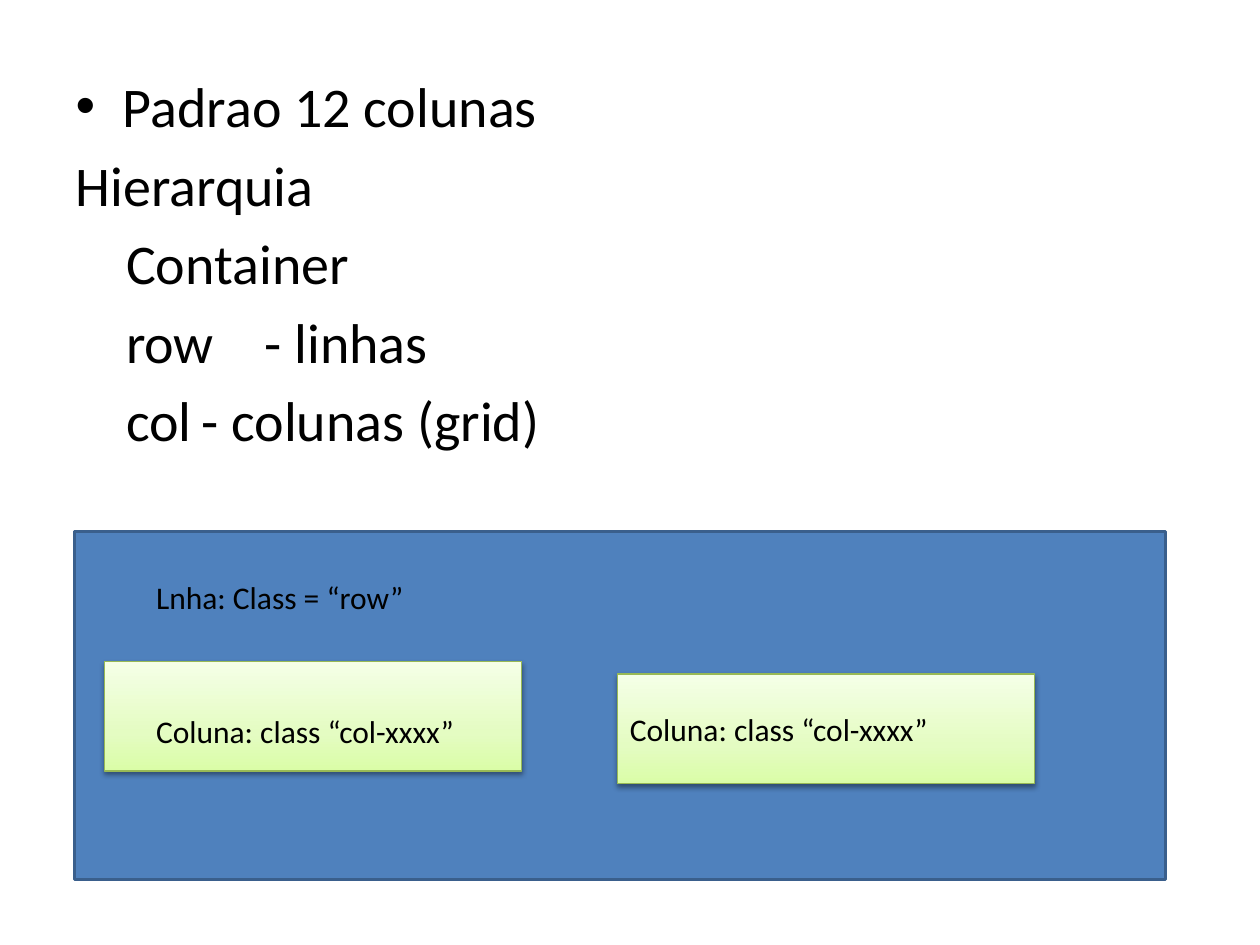
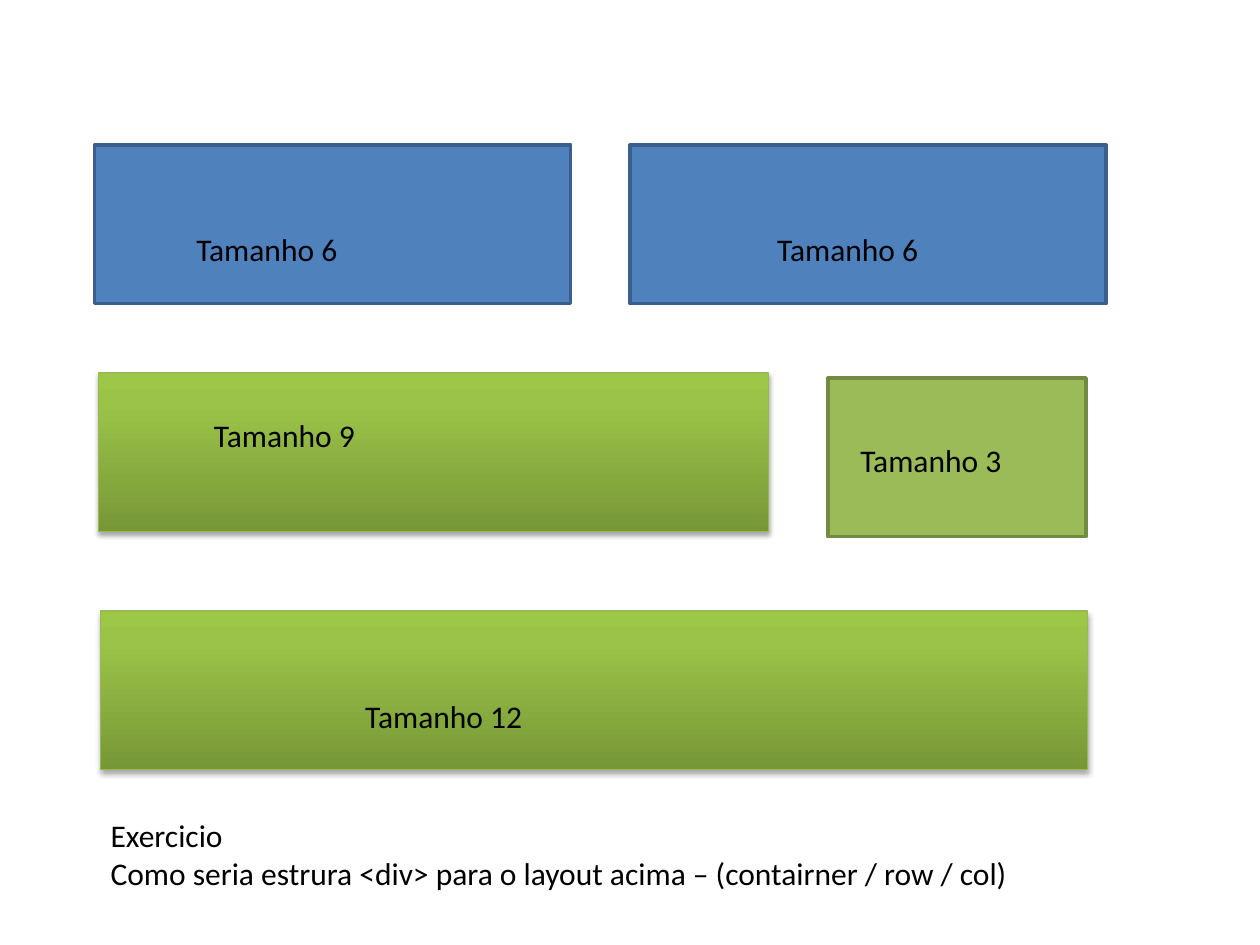
from lxml.etree import SubElement
from copy import deepcopy
from pptx import Presentation
from pptx.dml.color import RGBColor
from pptx.enum.shapes import MSO_SHAPE as SHAPE
from pptx.enum.text import MSO_ANCHOR as ANCHOR, MSO_AUTO_SIZE as AUTO, PP_ALIGN as ALIGN
from pptx.oxml.ns import qn
from pptx.util import Inches, Pt

FONT, BLACK = "Calibri", "000000"
BLUE = dict(fill="4F81BD", line="3A5F8C", weight=2)
GREEN = dict(fill="9BBB59", line="738A42", weight=2)
PALE = dict(fill=[(0, "DAFDA7"), (0.35, "E4FCC2"), (1, "F5FFE7")],
            line="98B955", weight=0.75, shadow=(38, 1.6))
LEAF = dict(fill=[(0, "779737"), (0.8, "9BC348"), (1, "9DC746")],
            line="98B955", weight=0.75, shadow=(35, 1.8))


def rgb(value):
    """Turn a hex string into a colour."""
    return RGBColor.from_string(value)


def write(p, text, size=18, color=BLACK, font=FONT, align=ALIGN.LEFT):
    """Add formatted text to a paragraph."""
    p.alignment = align
    r = p.add_run()
    r.text = text
    r.font.size, r.font.name = Pt(size), font
    r.font.color.rgb = rgb(color)


class Deck:
    """Hold the presentation, its style and the current slide."""

    def __init__(self):
        """Start an empty 4:3 presentation."""
        self.prs = Presentation()
        self.prs.slide_width, self.prs.slide_height = Inches(10), Inches(7.5)
        self.s = None

    def slide(self, layout):
        """Add a slide with the given layout."""
        self.s = self.prs.slides.add_slide(self.prs.slide_layouts[layout])

    def lines(self, tf, texts, **fmt):
        """Write one paragraph per text."""
        for i, text in enumerate(texts):
            write(tf.add_paragraph() if i else tf.paragraphs[0], text, **fmt)

    def body(self, x, y, w, h, items):
        """Fill the body placeholder with (text, bullet, indent, tab) items."""
        title = self.s.shapes.title
        title._element.getparent().remove(title._element)
        sp = self.s.placeholders[1]
        sp.left, sp.top, sp.width, sp.height = map(Inches, (x, y, w, h))
        self.lines(sp.text_frame, [item[0] for item in items], size=32)
        for p, (_, bullet, indent, tab) in zip(sp.text_frame.paragraphs, items):
            if bullet:
                continue
            ppr = p._p.get_or_add_pPr()
            ppr.set("marL", "0")
            ppr.set("indent", str(Inches(indent)))
            SubElement(ppr, qn("a:buNone"))
            if tab:
                tabs = SubElement(ppr, qn("a:tabLst"))
                SubElement(tabs, qn("a:tab"), pos=str(Inches(tab)), algn="l")

    def gradient(self, sp, stops):
        """Fill a shape with a gradient that runs upwards."""
        sp.fill.gradient()
        sp.fill.gradient_angle = 90
        stop_list = next(sp._element.spPr.iter(qn("a:gsLst")))
        while len(stop_list) < len(stops):
            stop_list.append(deepcopy(stop_list[0]))
        for stop, (position, color) in zip(sp.fill.gradient_stops, stops):
            stop.position, stop.color.rgb = position, rgb(color)

    def shade(self, sp, alpha, distance):
        """Give a shape a soft shadow below it."""
        effects = sp._element.spPr.find(qn("a:effectLst"))
        outer = SubElement(effects, qn("a:outerShdw"), blurRad=str(Pt(3.1)),
                           dist=str(Pt(distance)), dir="5400000", rotWithShape="0")
        color = SubElement(outer, qn("a:srgbClr"), val=BLACK)
        SubElement(color, qn("a:alpha"), val=str(alpha * 1000))

    def box(self, x, y, w, h, fill, line, weight, shadow=None, text=None):
        """Draw a rectangle, with text if any."""
        sp = self.s.shapes.add_shape(SHAPE.RECTANGLE, *map(Inches, (x, y, w, h)))
        sp.shadow.inherit = False
        if isinstance(fill, str):
            sp.fill.solid()
            sp.fill.fore_color.rgb = rgb(fill)
        else:
            self.gradient(sp, fill)
        sp.line.color.rgb, sp.line.width = rgb(line), Pt(weight)
        if shadow:
            self.shade(sp, *shadow)
        if text:
            sp.text_frame.vertical_anchor = ANCHOR.MIDDLE
            self.lines(sp.text_frame, [text])

    def label(self, x, y, w, h, *texts):
        """Add a text box."""
        tf = self.s.shapes.add_textbox(*map(Inches, (x, y, w, h))).text_frame
        tf.word_wrap, tf.auto_size = True, AUTO.SHAPE_TO_FIT_TEXT
        self.lines(tf, texts)


def hierarchy(deck):
    """Build the slide on container, row and column."""
    column, col_w, col_h = "Coluna: class “col-xxxx”", 3.31, 0.87
    deck.slide(1)
    deck.body(0.5, 0.52, 9, 3.39, [
        ("Padrao 12 colunas", True, 0, None),
        ("Hierarquia", False, 0, None),
        ("Container", False, 0.4, None),
        ("row\t- linhas", False, 0.4, 2.61),
        ("col\t- colunas (grid)", False, 0.4, 2.73),
    ])
    deck.box(0.59, 4.22, 8.66, 2.76, **BLUE)
    deck.label(1.14, 4.54, 2.99, 0.4, "Lnha: Class = “row”")
    deck.box(0.83, 5.25, col_w, col_h, **PALE)
    deck.box(4.9, 5.35, col_w, col_h, text=column, **PALE)
    deck.label(1.14, 5.6, 2.76, 0.4, column)


def grid_exercise(deck):
    """Build the slide with the grid sizes and the exercise."""
    blocks = [
        (0.75, 1.15, 3.78, BLUE, 6, 1.46, 1.78),
        (5, 1.15, 3.78, BLUE, 6, 6.07, 1.78),
        (0.78, 2.96, 5.32, LEAF, 9, 1.6, 3.25),
        (6.57, 3, 2.05, GREEN, 3, 6.73, 3.45),
        (0.8, 4.85, 7.83, LEAF, 12, 2.8, 5.48),
    ]
    deck.slide(6)
    for x, y, w, style, size, label_x, label_y in blocks:
        deck.box(x, y, w, 1.26, **style)
        deck.label(label_x, label_y, 1.73, 0.4, f"Tamanho {size}")
    deck.label(0.78, 6.43, 7.84, 0.71, "Exercicio",
               "Como seria estrura <div> para o layout acima – (contairner / row / col)")


def main():
    """Build and save the presentation."""
    deck = Deck()
    hierarchy(deck)
    grid_exercise(deck)
    deck.prs.save("out.pptx")


if __name__ == "__main__":
    main()
